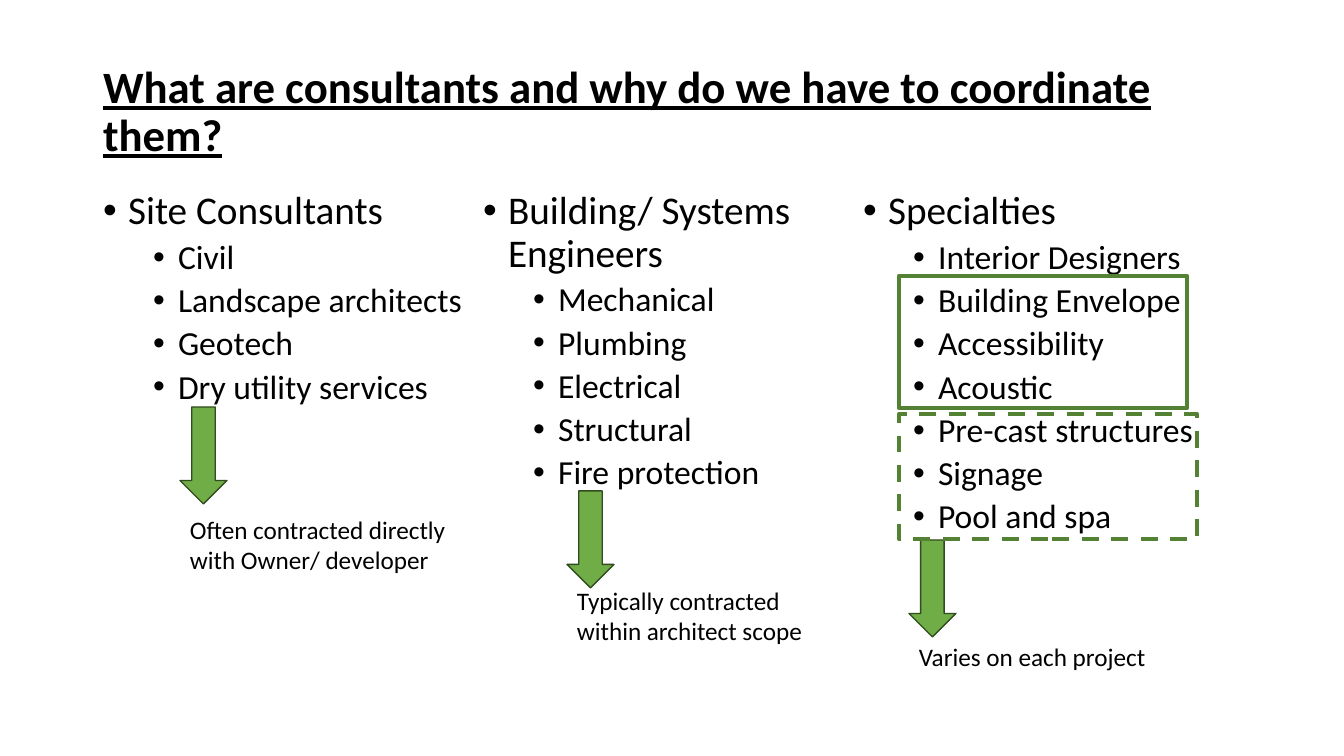
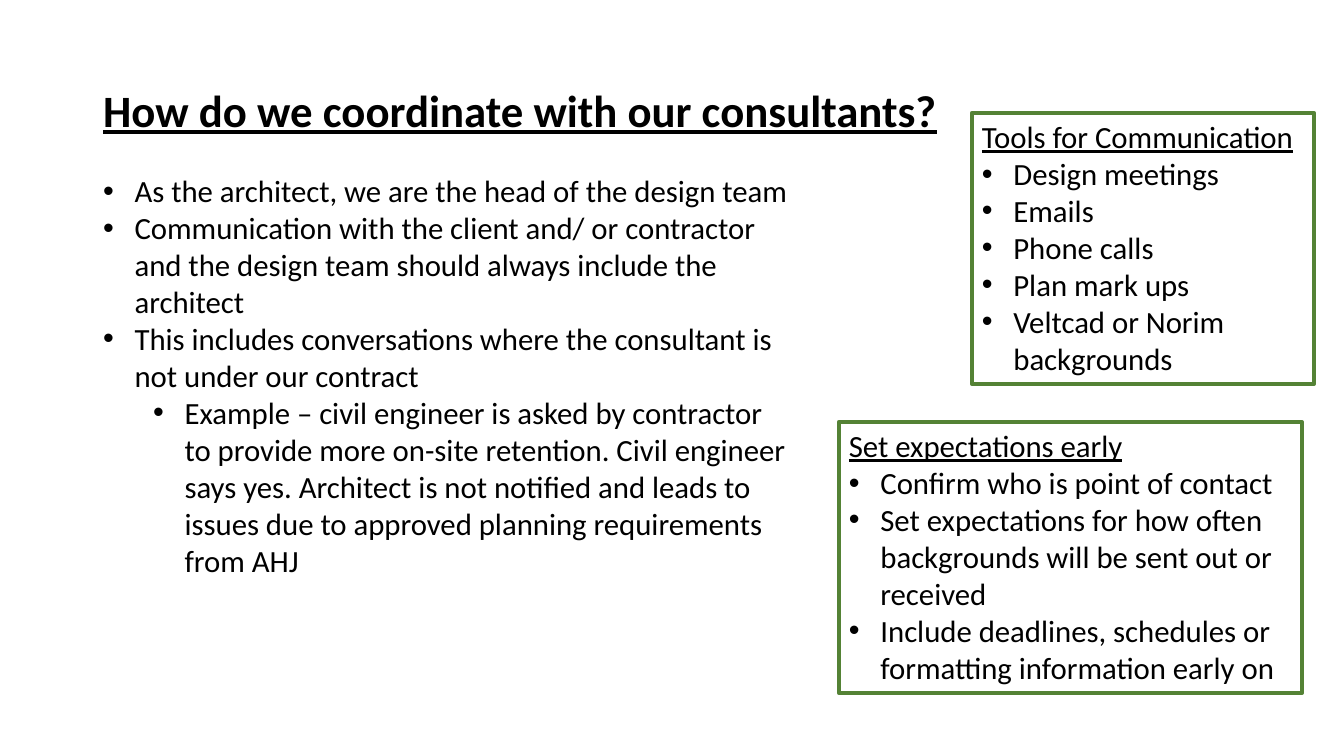
from lxml import etree
from pptx import Presentation
from pptx import util as u
from pptx.dml.color import RGBColor
from pptx.enum import dml, shapes, text
from pptx.oxml.ns import qn

FONT = "Calibri"
COLORS = {"text": "000000", "arrow": "70AD47", "arrow_edge": "314C1F", "frame": "548235"}
COMPARISON, CONTENT = 4, 1
TITLE_BOX = (93, 40, 1159, 146)

CONSULTANTS_TITLE = "What are consultants and why do we have to coordinate them?"
GROUPS = [
    ("Site Consultants",
     ["Civil", "Landscape architects", "Geotech", "Dry utility services"]),
    ("Building/ Systems Engineers",
     ["Mechanical", "Plumbing", "Electrical", "Structural", "Fire protection"]),
    ("Specialties",
     ["Interior Designers", "Building Envelope", "Accessibility", "Acoustic",
      "Pre-cast structures", "Signage", "Pool and spa"]),
]
CONTRACTS = [
    ("Often contracted directly with Owner/ developer", 180, 407, 509, 71),
    ("Typically contracted within architect scope", 567, 491, 580, 71),
    ("Varies on each project", 909, 540, 636, 40),
]
SPECIALTY_FRAMES = [((899, 276, 288, 132), False), ((899, 414, 298, 125), True)]

COORDINATION_TITLE = "How do we coordinate with our consultants?"
PRINCIPLES = [
    (0, "As the architect, we are the head of the design team"),
    (0, "Communication with the client and/ or contractor and the design team "
        "should always include the architect"),
    (0, "This includes conversations where the consultant is not under our contract"),
    (1, "Example – civil engineer is asked by contractor to provide more on-site "
        "retention. Civil engineer says yes. Architect is not notified and leads to "
        "issues due to approved planning requirements from AHJ"),
]
ADVICE = [
    ((972, 113, 342, 271), "Tools for Communication",
     ["Design meetings", "Emails", "Phone calls", "Plan mark ups",
      "Veltcad or Norim backgrounds"]),
    ((839, 422, 463, 271), "Set expectations early",
     ["Confirm who is point of contact",
      "Set expectations for how often backgrounds will be sent out or received",
      "Include deadlines, schedules or formatting information early on"]),
]


def px(length):
    return u.Emu(round(length * 914400 / 100.8))


def color(name):
    return RGBColor.from_string(COLORS[name])


def place(shape, box):
    shape.left, shape.top, shape.width, shape.height = map(px, box)


def prepare(shape):
    frame = shape.text_frame
    frame.word_wrap = True
    frame.auto_size = text.MSO_AUTO_SIZE.NONE
    frame.vertical_anchor = text.MSO_ANCHOR.TOP
    return frame


def write(frame, words, size, hang=0, level=0, spacing=1, before=0, bold=False, underline=False):
    paragraph = frame.paragraphs[0]
    if paragraph.runs:
        paragraph = frame.add_paragraph()
    paragraph.text = words
    paragraph.level = level
    paragraph.alignment = text.PP_ALIGN.LEFT
    paragraph.line_spacing = spacing
    paragraph.space_before = u.Pt(before)
    properties = paragraph._p.get_or_add_pPr()
    properties.set("marL", str(px(hang + 50 * level)))
    properties.set("indent", str(px(-hang)))
    if hang:
        etree.SubElement(properties, qn("a:buFont")).set("typeface", "Arial")
        etree.SubElement(properties, qn("a:buChar")).set("char", "•")
    else:
        etree.SubElement(properties, qn("a:buNone"))
    font = paragraph.font
    font.name, font.size, font.bold, font.underline = FONT, u.Pt(size), bold, underline
    font.color.rgb = color("text")


def new_slide(layout, title):
    slide = deck.slides.add_slide(deck.slide_layouts[layout])
    place(slide.shapes.title, TITLE_BOX)
    frame = prepare(slide.shapes.title)
    frame.vertical_anchor = text.MSO_ANCHOR.MIDDLE
    write(frame, title, 32, spacing=0.9, bold=True, underline=True)
    bodies = [holder for holder in slide.placeholders if holder.placeholder_format.idx in (1, 2, 3, 4)]
    return slide, bodies


def add_shape(slide, kind, box, line, width, fill=None):
    shape = slide.shapes.add_shape(kind, *map(px, box))
    shape.shadow.inherit = False
    if fill:
        shape.fill.solid()
        shape.fill.fore_color.rgb = color(fill)
    else:
        shape.fill.background()
    shape.line.color.rgb = color(line)
    shape.line.width = u.Pt(width)
    return shape


def add_frame(slide, box):
    return add_shape(slide, shapes.MSO_SHAPE.RECTANGLE, box, "frame", 3)


deck = Presentation()
deck.slide_width, deck.slide_height = px(1344), px(756)

consultants, bodies = new_slide(COMPARISON, CONSULTANTS_TITLE)
for column, (body, (group, members)) in enumerate(zip(bodies, GROUPS)):
    place(body, (93 + 380 * column, 186, 400, 426))
    frame = prepare(body)
    write(frame, group, 28, hang=25, spacing=0.9, before=10)
    for member in members:
        write(frame, member, 24, hang=25, level=1, spacing=0.9, before=5)
for unused in bodies[len(GROUPS):]:
    unused.element.getparent().remove(unused.element)

for words, left, arrow_top, note_top, note_height in CONTRACTS:
    add_shape(consultants, shapes.MSO_SHAPE.DOWN_ARROW, (left, arrow_top, 47, 97),
              "arrow_edge", 1, "arrow")
    note = consultants.shapes.add_textbox(*map(px, (left, note_top, 277, note_height)))
    write(prepare(note), words, 18)

for box, dashed in SPECIALTY_FRAMES:
    outline = add_frame(consultants, box)
    if dashed:
        outline.line.dash_style = dml.MSO_LINE.DASH

coordination, (principles, *_) = new_slide(CONTENT, COORDINATION_TITLE)
place(principles, (93, 167, 710, 420))
frame = prepare(principles)
for level, words in PRINCIPLES:
    write(frame, words, 22, hang=31.5, level=level)

for box, heading, points in ADVICE:
    frame = prepare(add_frame(coordination, box))
    write(frame, heading, 22, underline=True)
    for point in points:
        write(frame, point, 22, hang=31.5)

deck.save("out.pptx")
